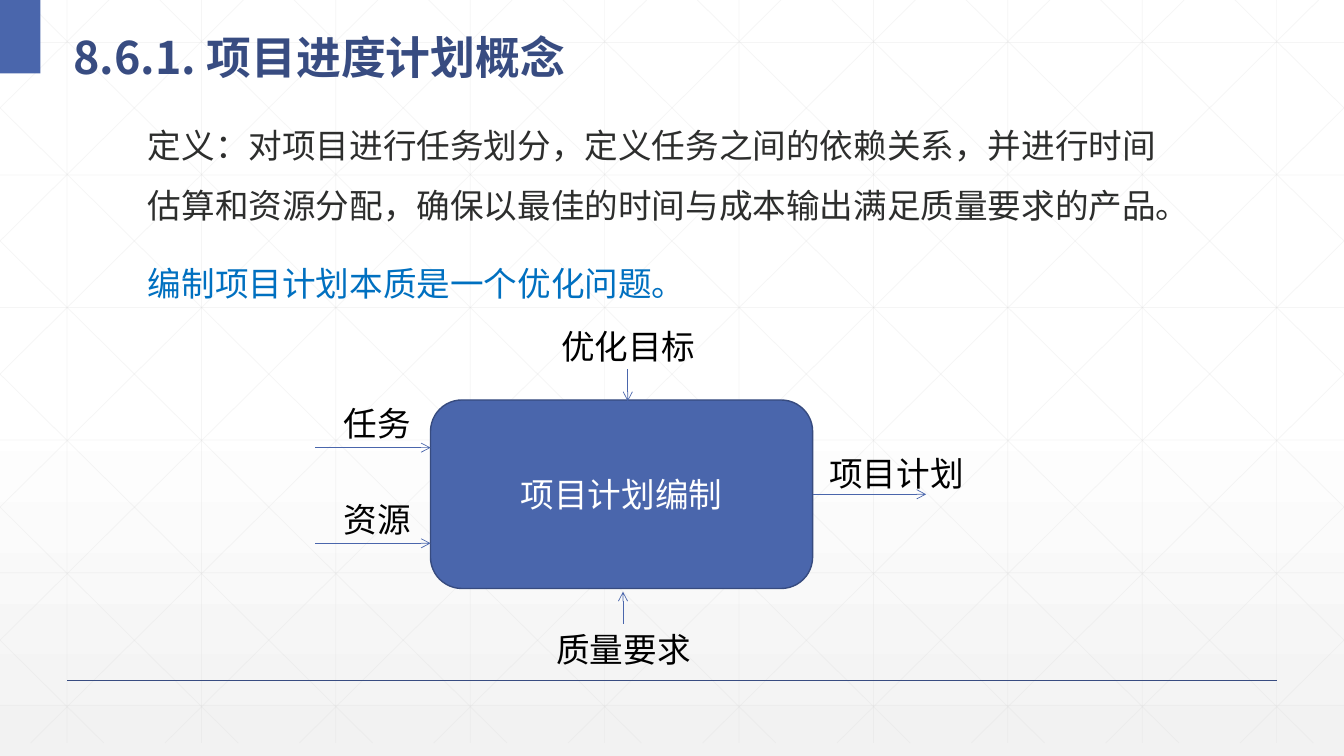
from lxml import etree
from pptx import Presentation
from pptx.dml.color import RGBColor
from pptx.enum.shapes import MSO_CONNECTOR, MSO_SHAPE
from pptx.enum.text import MSO_ANCHOR, MSO_AUTO_SIZE, PP_ALIGN
from pptx.oxml.ns import qn
from pptx.util import Cm, Pt

STRAIGHT = MSO_CONNECTOR.STRAIGHT
RECT, ROUNDED = MSO_SHAPE.RECTANGLE, MSO_SHAPE.ROUNDED_RECTANGLE
MIDDLE, CENTER = MSO_ANCHOR.MIDDLE, PP_ALIGN.CENTER
GROW = MSO_AUTO_SIZE.SHAPE_TO_FIT_TEXT

WIDTH, HEIGHT = 33.87, 19.05
SANS, ARIAL = "Noto Sans CJK SC", "Arial"
BLUE, NAVY, GRID = "4A66AC", "384C81", "D9D9D9"

TITLE = "8.6.1. 项目进度计划概念"
BODY = [
    ("定义：对项目进行任务划分，定义任务之间的依赖关系，并进行时间估算和资源分配，"
     "确保以最佳的时间与成本输出满足质量要求的产品。", "2D2E2D", 0),
    ("编制项目计划本质是一个优化问题。", "0070C0", 12),
]
PROCESS = "项目计划编制"
PROCESS_BOX = (10.85, 10.08, 9.63, 4.75)
LABELS = [
    ("任务", 8.41, 10.03, 2.24),
    ("资源", 8.41, 12.45, 2.24),
    ("优化目标", 13.89, 8.1, 3.94),
    ("质量要求", 13.77, 15.72, 3.94),
    ("项目计划", 20.65, 11.28, 3.94),
]
ARROWS = [
    (7.95, 11.28, 10.85, 11.28),
    (7.95, 13.69, 10.85, 13.69),
    (15.82, 9.3, 15.82, 10.11),
    (15.7, 15.72, 15.7, 14.91),
]

GRID_BOTTOM, STEP_X, STEP_Y = 18.72, WIDTH / 10, 3.34
FIRST_X, FIRST_Y, FIRST_DIAGONAL = 1.69, 1.07, 0.64
SLOPE = 0.99


def rgb(value):
    return RGBColor.from_string(value)


def add_line(x1, y1, x2, y2, color, width, alpha=None, arrow=False):
    c = s.shapes.add_connector(STRAIGHT, Cm(x1), Cm(y1), Cm(x2), Cm(y2))
    c.line.color.rgb = rgb(color)
    c.line.width = Pt(width)
    ln = c.line._get_or_add_ln()
    if alpha:
        clr = ln.find(".//" + qn("a:srgbClr"))
        etree.SubElement(clr, qn("a:alpha")).set("val", str(alpha * 1000))
    if arrow:
        etree.SubElement(ln, qn("a:tailEnd")).set("type", "arrow")
    etree.SubElement(c._element.spPr, qn("a:effectLst"))
    return c


def add_box(kind, x, y, w, h, fill):
    sp = s.shapes.add_shape(kind, Cm(x), Cm(y), Cm(w), Cm(h))
    sp.shadow.inherit = False
    sp.fill.solid()
    sp.fill.fore_color.rgb = rgb(fill)
    sp.line.fill.background()
    return sp


def add_text(x, y, w, h, wrap=True):
    tf = s.shapes.add_textbox(Cm(x), Cm(y), Cm(w), Cm(h)).text_frame
    tf.word_wrap = wrap
    return tf


def write(p, text, size, font, color, bold=False):
    p.text = text
    f = p.runs[0].font
    f.size, f.name, f.bold = Pt(size), font, bold
    f.color.rgb = rgb(color)


prs = Presentation()
prs.slide_width, prs.slide_height = Cm(WIDTH), Cm(HEIGHT)
s = prs.slides.add_slide(prs.slide_layouts[6])

bg = s.background.fill
bg.gradient()
bg.gradient_angle = 270
for stop, position, color in zip(bg.gradient_stops, (0.53, 1), ("FFFFFF", "F2F2F2")):
    stop.position = position
    stop.color.rgb = rgb(color)

grid = [(FIRST_X + i * STEP_X, 0, FIRST_X + i * STEP_X, GRID_BOTTOM) for i in range(10)]
grid += [(0, FIRST_Y + i * STEP_Y, WIDTH, FIRST_Y + i * STEP_Y) for i in range(6)]
for i in range(-5, 10):
    start = FIRST_DIAGONAL + i * STEP_X
    x1, x2 = max(start, 0), min(start + GRID_BOTTOM / SLOPE, WIDTH)
    y1, y2 = (x1 - start) * SLOPE, (x2 - start) * SLOPE
    grid += [(x1, y1, x2, y2), (WIDTH - x1, y1, WIDTH - x2, y2)]
for ends in grid:
    add_line(*ends, GRID, 0.5, alpha=25)

add_line(1.69, 17.15, 32.18, 17.15, NAVY, 1)
add_box(RECT, 0, 0, 1.02, 1.85, BLUE)

tf = add_text(1.6, 0.3, 30.81, 1.85)
tf.vertical_anchor = MIDDLE
write(tf.paragraphs[0], TITLE, 32, SANS, NAVY, bold=True)
tf.paragraphs[0].line_spacing = 1.3

tf = add_text(3.48, 2.51, 26.49, 5.31)
for i, (text, color, before) in enumerate(BODY):
    p = tf.add_paragraph() if i else tf.paragraphs[0]
    write(p, text, 24, SANS, color)
    p.line_spacing = 1.5
    p.space_before = Pt(before)

process = add_box(ROUNDED, *PROCESS_BOX, BLUE)
process.line.color.rgb = rgb("374B7F")
process.line.width = Pt(1)
process.text_frame.vertical_anchor = MIDDLE
p = process.text_frame.paragraphs[0]
write(p, PROCESS, 24, ARIAL, "FFFFFF")
p.alignment = CENTER

for ends in ARROWS:
    add_line(*ends, BLUE, 0.5, arrow=True)
x, y, w, h = PROCESS_BOX
output = add_line(x + w, y + h / 2, 23.34, y + h / 2, BLUE, 0.5, arrow=True)
output.begin_connect(process, 3)

for text, x, y, w in LABELS:
    tf = add_text(x, y, w, 1.27, wrap=False)
    tf.auto_size = GROW
    write(tf.paragraphs[0], text, 24, ARIAL, "000000")

prs.save("out.pptx")
